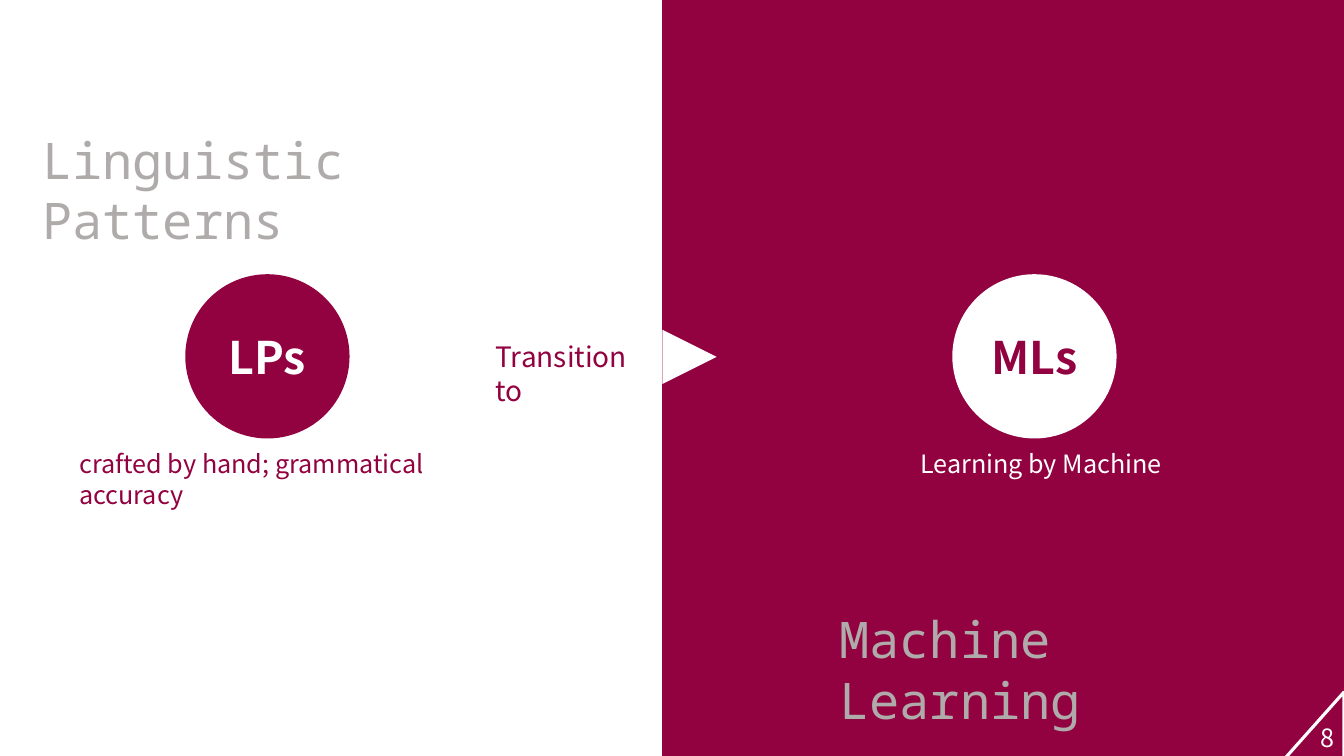
from pptx import Presentation
from pptx.dml.color import RGBColor
from pptx.enum.shapes import MSO_SHAPE
from pptx.enum.text import MSO_ANCHOR, MSO_AUTO_SIZE, PP_ALIGN
from pptx.util import Cm, Pt

RECTANGLE = MSO_SHAPE.RECTANGLE
TRIANGLE = MSO_SHAPE.ISOSCELES_TRIANGLE
RIGHT_TRIANGLE = MSO_SHAPE.RIGHT_TRIANGLE
OVAL = MSO_SHAPE.OVAL
MIDDLE = MSO_ANCHOR.MIDDLE
CENTER = PP_ALIGN.CENTER
GROW = MSO_AUTO_SIZE.SHAPE_TO_FIT_TEXT

CRIMSON, WHITE, GRAY = "920240", "FFFFFF", "AFABAB"
SANS, MONO = "Noto Sans CJK SC", "Noto Sans Mono"


def add_block(kind, left, top, width, height, color, rotation=0):
    shape = slide.shapes.add_shape(kind, Cm(left), Cm(top), Cm(width), Cm(height))
    shape.shadow.inherit = False
    shape.fill.solid()
    shape.fill.fore_color.rgb = RGBColor.from_string(color)
    shape.line.fill.background()
    shape.rotation = rotation
    return shape


def write(shape, text, size, color, font_name=SANS, bold=False):
    shape.text_frame.text = text
    shape.text_frame.word_wrap = True
    font = shape.text_frame.paragraphs[0].runs[0].font
    font.name = font_name
    font.size = Pt(size)
    font.bold = bold
    font.color.rgb = RGBColor.from_string(color)


presentation = Presentation()
presentation.slide_width = Cm(33.87)
presentation.slide_height = Cm(19.05)
slide = presentation.slides.add_slide(presentation.slide_layouts[6])

add_block(RECTANGLE, 16.69, 0, 17.18, 19.05, CRIMSON)
add_block(TRIANGLE, 16.69, 8.31, 1.37, 1.37, WHITE, 90)

for left, text, fill, color in (
    (4.67, "LPs", CRIMSON, WHITE),
    (24, "MLs", WHITE, CRIMSON),
):
    circle = add_block(OVAL, left, 6.91, 4.14, 4.14, fill)
    write(circle, text, 32, color, bold=True)
    circle.text_frame.vertical_anchor = MIDDLE
    circle.text_frame.paragraphs[0].alignment = CENTER

corner = add_block(RIGHT_TRIANGLE, 32.31, 17.53, 1.65, 1.47, CRIMSON, 270)
corner.line.color.rgb = RGBColor.from_string(WHITE)
corner.line.width = Pt(2.25)

for left, top, width, height, text, size, color, font_name in (
    (12.24, 8.43, 4.47, 1.12, "Transition to", 20, CRIMSON, SANS),
    (1.75, 11.18, 11.15, 1.02, "crafted by hand; grammatical accuracy", 18, CRIMSON, SANS),
    (22.94, 11.18, 8.05, 1.02, "Learning by Machine", 18, WHITE, SANS),
    (33.02, 18.08, 0.91, 1.02, "8", 18, WHITE, SANS),
    (0.81, 3.12, 14.53, 1.8, "Linguistic Patterns", 36, GRAY, MONO),
    (20.9, 15.21, 12.12, 1.8, "Machine Learning", 36, GRAY, MONO),
):
    box = slide.shapes.add_textbox(Cm(left), Cm(top), Cm(width), Cm(height))
    write(box, text, size, color, font_name)
    box.text_frame.auto_size = GROW

presentation.save("out.pptx")
